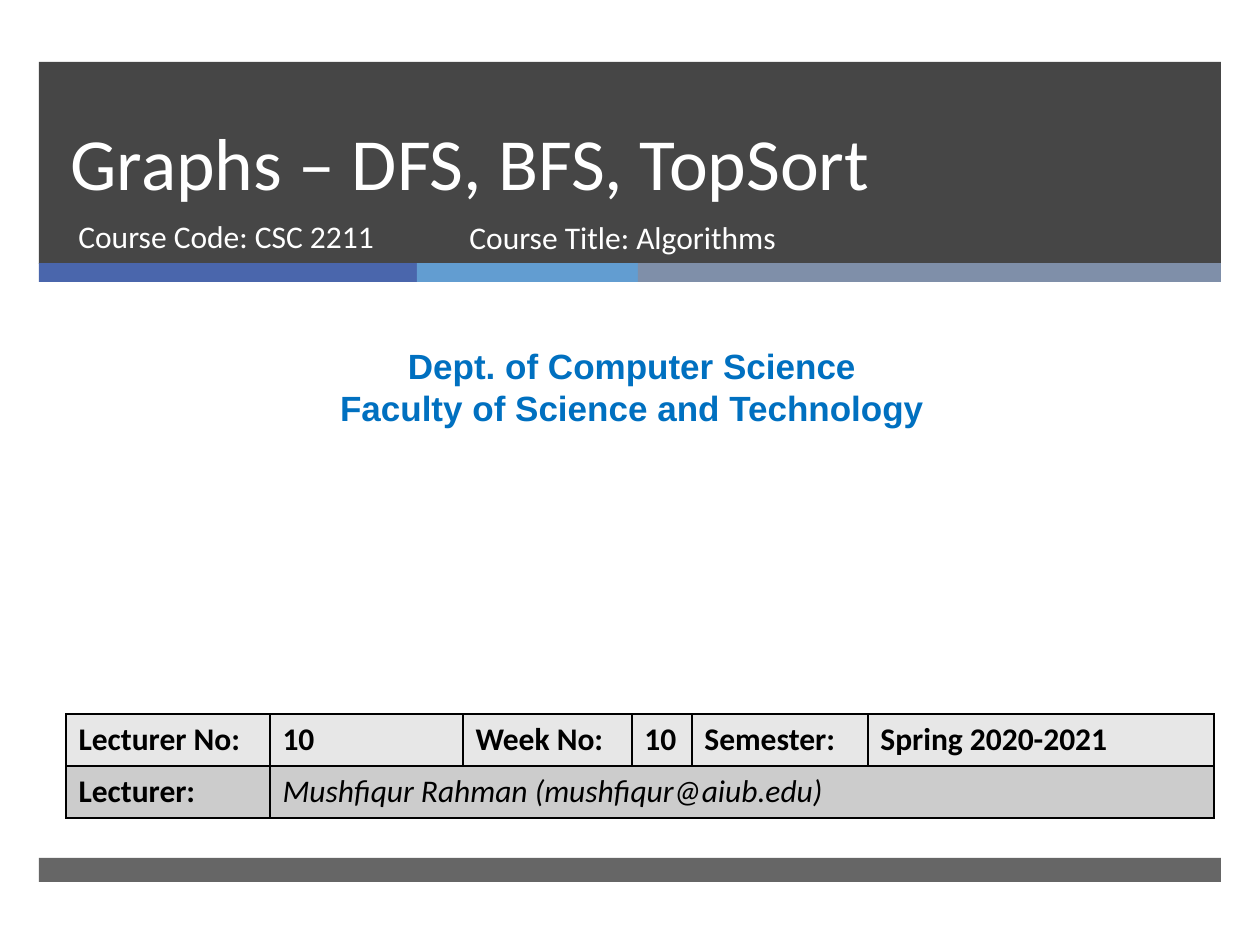
from lxml import etree
from pptx import Presentation
from pptx.dml.color import RGBColor
from pptx.enum.shapes import MSO_SHAPE
from pptx.enum.text import MSO_ANCHOR, MSO_AUTO_SIZE, PP_ALIGN
from pptx.oxml.ns import qn
from pptx.util import Emu, Pt

RECT = MSO_SHAPE.RECTANGLE
BOTTOM = MSO_ANCHOR.BOTTOM
LEFT, CENTER = PP_ALIGN.LEFT, PP_ALIGN.CENTER
NO_FIT = MSO_AUTO_SIZE.NONE
SCALE = 914400 / 126


def px(*lengths):
    return [Emu(round(n * SCALE)) for n in lengths]


def style(paragraph, color, size, face="Calibri", bold=False, italic=False):
    for run in paragraph.runs:
        run.font.name = face
        run.font.size = Pt(size)
        run.font.bold = bold
        run.font.italic = italic
        run.font.color.rgb = RGBColor.from_string(color)


prs = Presentation()
prs.slide_width, prs.slide_height = px(1260, 945)
slide = prs.slides.add_slide(prs.slide_layouts[5])
shapes = slide.shapes

bands = [
    (39, 62, 1182, 202, "262626", 85),
    (39, 263, 378, 19, "4A66AC", 100),
    (417, 263, 221, 19, "629DD1", 100),
    (638, 263, 583, 19, "7F8FA9", 100),
    (39, 858, 1182, 24, "262626", 70),
]
for left, top, width, height, color, opacity in bands:
    band = shapes.add_shape(RECT, *px(left, top, width, height))
    band.shadow.inherit = False
    band.line.fill.background()
    band.fill.solid()
    band.fill.fore_color.rgb = RGBColor.from_string(color)
    if opacity < 100:
        tint = band.fill._xPr.find(".//" + qn("a:srgbClr"))
        etree.SubElement(tint, qn("a:alpha"), val=str(opacity * 1000))

lecture = shapes.title
shapes._spTree.append(lecture._element)
lecture.left, lecture.top, lecture.width, lecture.height = px(58, 62, 1076, 150)
lecture.text_frame.text = "Graphs – DFS, BFS, TopSort"
lecture.text_frame.vertical_anchor = BOTTOM
lecture.text_frame.auto_size = NO_FIT
heading = lecture.text_frame.paragraphs[0]
heading.alignment = LEFT
heading.line_spacing = Pt(46)
style(heading, "FFFFFF", 42)

captions = [
    ("Course Code: CSC 2211", 66, 211, 384, 67, 18, "Calibri", "FFFFFF", LEFT, None),
    ("Course Title: Algorithms", 457, 212, 573, 67, 18, "Calibri", "FFFFFF", LEFT, None),
    ("Dept. of Computer Science\nFaculty of Science and Technology",
     10, 338, 1244, 97, 20, "Arial", "0070C0", CENTER, Pt(24)),
]
for text, left, top, width, height, size, face, color, align, spacing in captions:
    frame = shapes.add_textbox(*px(left, top, width, height)).text_frame
    frame.word_wrap = True
    frame.text = text
    for paragraph in frame.paragraphs:
        paragraph.alignment = align
        paragraph.line_spacing = spacing
        style(paragraph, color, size, face, bold=face == "Arial")

rows = [
    ["Lecturer No:", "10", "Week No:", "10", "Semester:", "Spring 2020-2021"],
    ["Lecturer:", "Mushfiqur Rahman (mushfiqur@aiub.edu)", "", "", "", ""],
]
row_fills = ["E7E7E7", "CCCCCC"]
column_widths = px(204, 193, 169, 60, 176, 346)
schedule = shapes.add_table(2, 6, *px(66, 714, 1148, 104)).table
for column, width in zip(schedule.columns, column_widths):
    column.width = width
schedule.cell(1, 1).merge(schedule.cell(1, 5))

for r, row in enumerate(rows):
    for c, text in enumerate(row):
        cell = schedule.cell(r, c)
        cell.fill.solid()
        cell.fill.fore_color.rgb = RGBColor.from_string(row_fills[r])
        if text:
            name = r == 1 and c == 1
            cell.text_frame.text = text
            style(cell.text_frame.paragraphs[0], "000000", 18, bold=not name, italic=name)
        properties = cell._tc.get_or_add_tcPr()
        for i, side in enumerate(("a:lnL", "a:lnR", "a:lnT", "a:lnB")):
            border = etree.Element(qn(side), w=str(Pt(1)))
            solid = etree.SubElement(border, qn("a:solidFill"))
            etree.SubElement(solid, qn("a:srgbClr"), val="000000")
            properties.insert(i, border)

prs.save("out.pptx")
